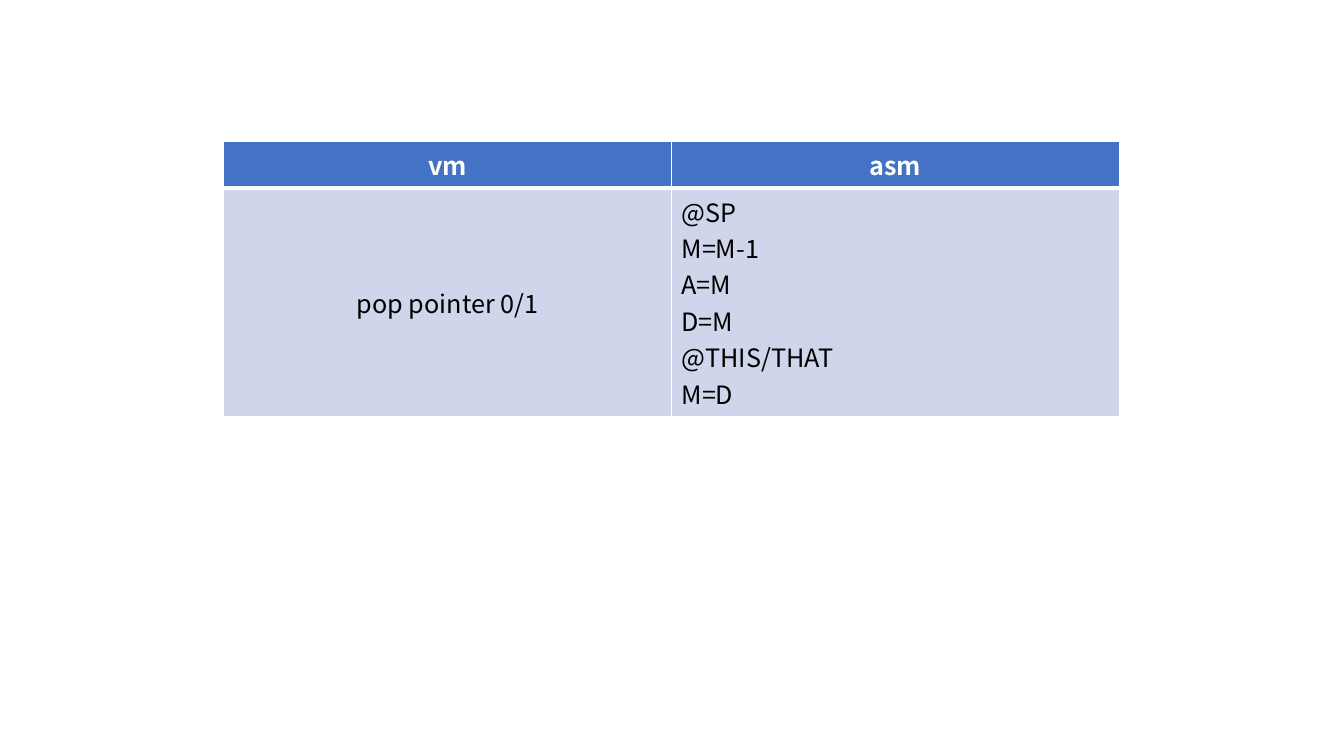
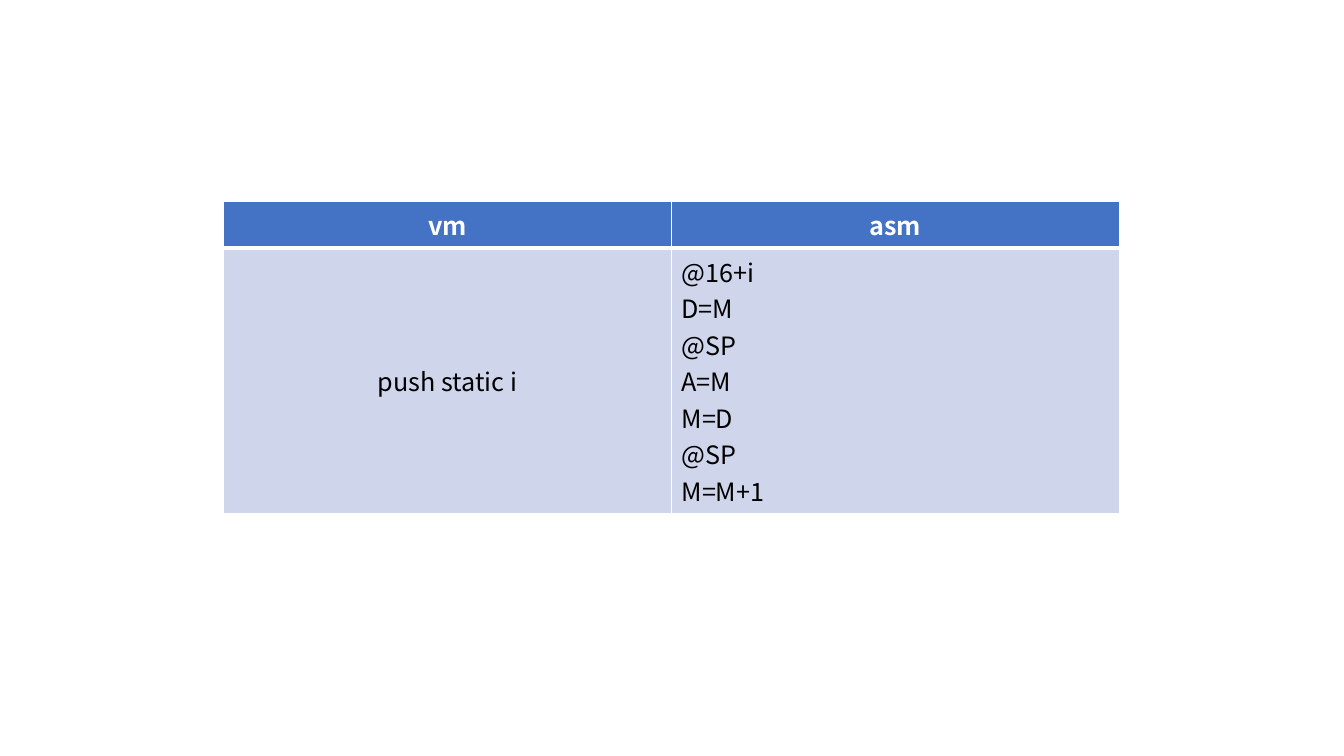
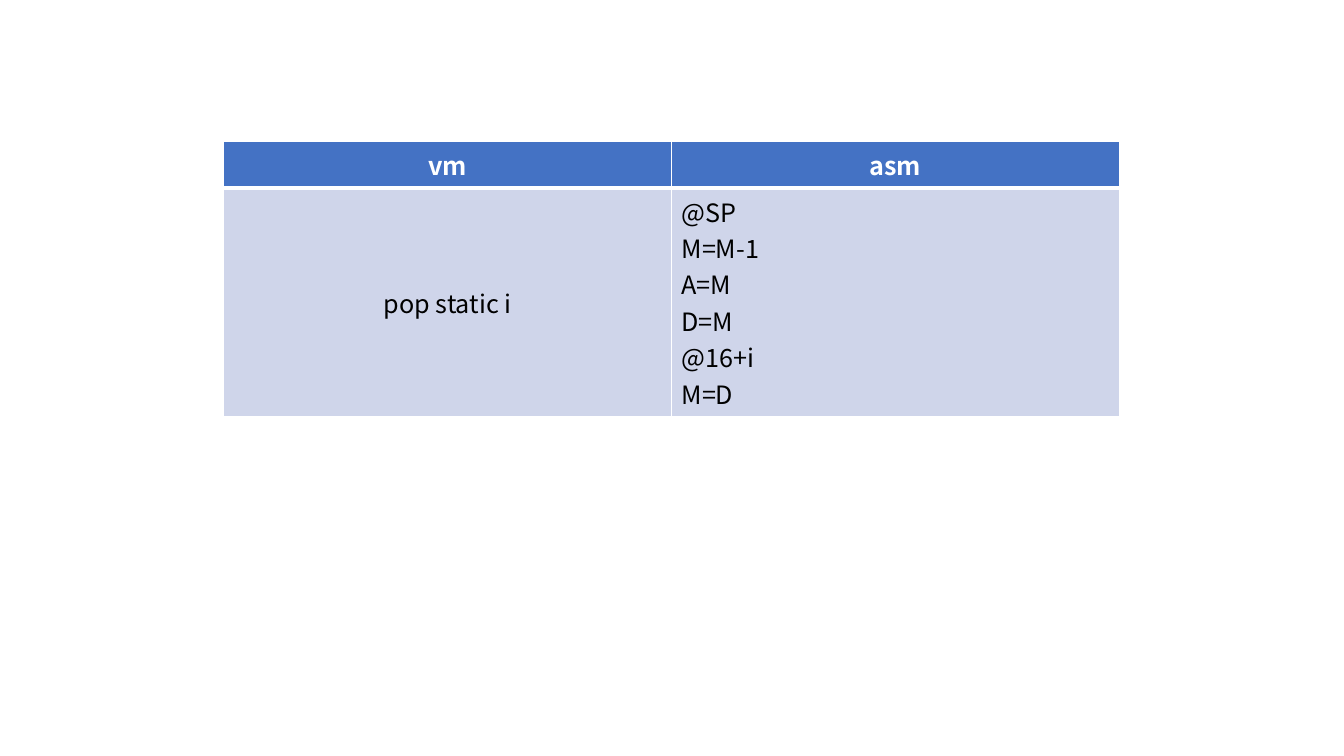
from lxml import etree
from pptx import Presentation
from pptx.dml.color import RGBColor
from pptx.enum.text import MSO_ANCHOR, PP_ALIGN
from pptx.oxml.ns import qn
from pptx.util import Inches, Pt

MIDDLE = MSO_ANCHOR.MIDDLE
CENTER, LEFT = PP_ALIGN.CENTER, PP_ALIGN.LEFT

# Shared look
FONT, SIZE = "Noto Sans CJK SC", 18
WHITE, BLACK, BLUE, PALE = "FFFFFF", "000000", "4472C4", "CFD5EA"
THIN, THICK = 1, 3
COL = 4.44
HEAD, LINE, PAD = 0.41, 0.3, 0.1


def color(text):
    return RGBColor.from_string(text)


def border(cell, side, width):
    props = cell._tc.get_or_add_tcPr()
    edge = etree.SubElement(props, qn("a:ln" + side), w=str(Pt(width)))
    fill = etree.SubElement(edge, qn("a:solidFill"))
    etree.SubElement(fill, qn("a:srgbClr"), val=WHITE)


# Table top, vm command, asm lines
pages = [
    (1.4, "pop pointer 0/1", ["@SP", "M=M-1", "A=M", "D=M", "@THIS/THAT", "M=D"]),
    (2, "push static i", ["@16+i", "D=M", "@SP", "A=M", "M=D", "@SP", "M=M+1"]),
    (1.4, "pop static i", ["@SP", "M=M-1", "A=M", "D=M", "@16+i", "M=D"]),
]

prs = Presentation()
prs.slide_width, prs.slide_height = Inches(13.33), Inches(7.5)
blank = prs.slide_layouts[6]

for top, command, code in pages:
    slide = prs.slides.add_slide(blank)
    body = PAD + LINE * len(code)
    frame = slide.shapes.add_table(
        2, 2, Inches(2.22), Inches(top), Inches(2 * COL), Inches(HEAD + body))
    table = frame.table
    table.horz_banding = False
    table.rows[0].height = Inches(HEAD)
    table.rows[1].height = Inches(body)

    # Cells: a header row above the command and its code
    rows = [["vm", "asm"], [command, "\n".join(code)]]
    for r, texts in enumerate(rows):
        header = r == 0
        for c, text in enumerate(texts):
            cell = table.cell(r, c)
            cell.text_frame.text = text
            cell.vertical_anchor = MIDDLE

            # Borders come before the fill; the thick edge is under the header
            border(cell, "L", THIN)
            border(cell, "R", THIN)
            border(cell, "T", THIN if header else THICK)
            border(cell, "B", THICK if header else THIN)
            cell.fill.solid()
            cell.fill.fore_color.rgb = color(BLUE if header else PALE)

            for para in cell.text_frame.paragraphs:
                para.alignment = CENTER if header or c == 0 else LEFT
                for run in para.runs:
                    font = run.font
                    font.name, font.size, font.bold = FONT, Pt(SIZE), header
                    font.color.rgb = color(WHITE if header else BLACK)

prs.save("out.pptx")
